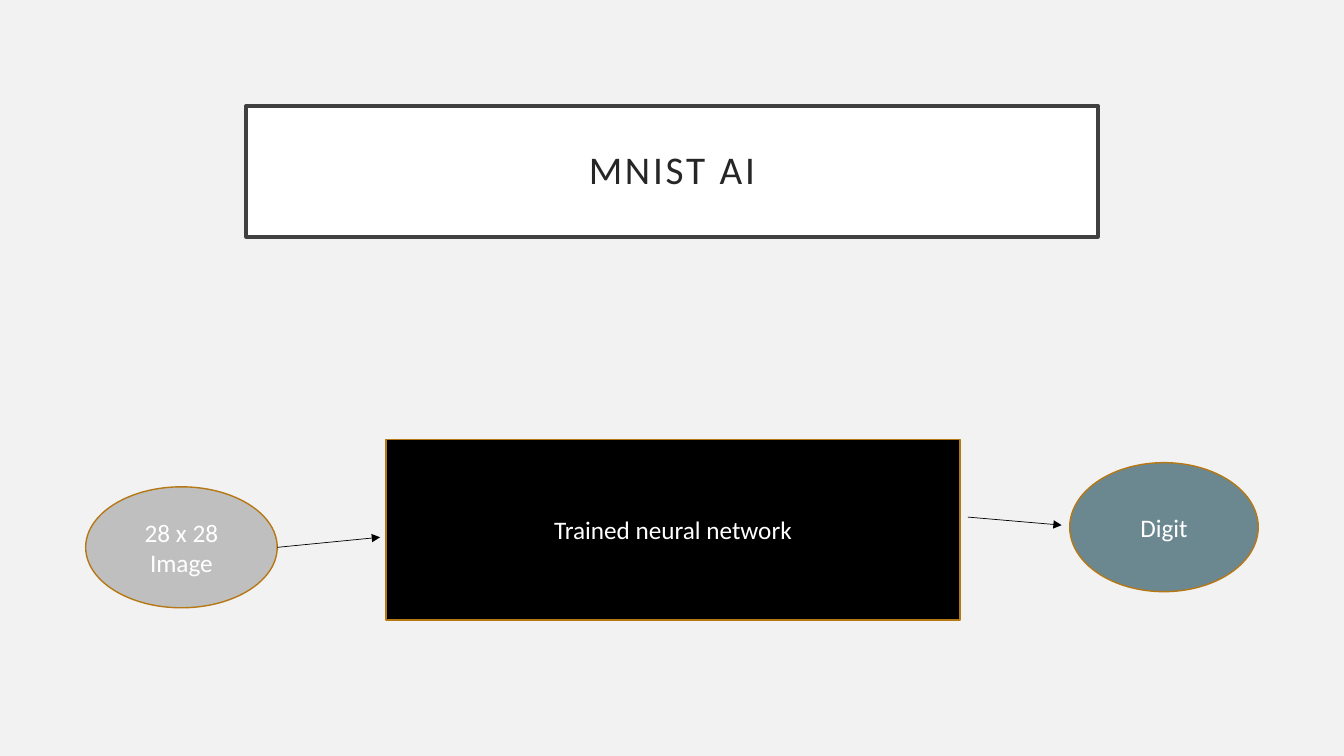
from lxml.etree import SubElement
from pptx import Presentation
from pptx.dml.color import RGBColor
from pptx.enum.shapes import MSO_CONNECTOR as Connector, MSO_SHAPE as Shape
from pptx.enum.text import MSO_ANCHOR as Anchor, MSO_AUTO_SIZE as AutoSize, PP_ALIGN as Align
from pptx.oxml.ns import qn
from pptx.util import Inches, Pt

BACKGROUND = RGBColor(0xF2, 0xF2, 0xF2)
WHITE = RGBColor(0xFF, 0xFF, 0xFF)
BLACK = RGBColor(0x00, 0x00, 0x00)
FRAME = RGBColor(0x40, 0x40, 0x40)
TITLE_TEXT = RGBColor(0x26, 0x26, 0x26)
ORANGE = RGBColor(0xB6, 0x78, 0x15)
GREY = RGBColor(0xBF, 0xBF, 0xBF)
TEAL = RGBColor(0x6B, 0x88, 0x91)


class Diagram:
    """Draws a titled flow diagram on one page in a shared style."""

    font_name = "Calibri"

    def __init__(self, page):
        self.page = page
        page.background.fill.solid()
        page.background.fill.fore_color.rgb = BACKGROUND

    def style(self, box, fill, line, width):
        box.fill.solid()
        box.fill.fore_color.rgb = fill
        box.line.color.rgb = line
        box.line.width = Pt(width)

    def label(self, box, text, size, color):
        frame = box.text_frame
        frame.text = text
        frame.word_wrap = True
        frame.auto_size = AutoSize.NONE
        frame.vertical_anchor = Anchor.MIDDLE
        para = frame.paragraphs[0]
        para.alignment = Align.CENTER
        span = para.runs[0]
        span.font.name = self.font_name
        span.font.size = Pt(size)
        span.font.color.rgb = color
        return para

    def title(self, text, left, top, width, height):
        box = self.page.shapes.title
        box.left, box.top = Inches(left), Inches(top)
        box.width, box.height = Inches(width), Inches(height)
        self.style(box, WHITE, FRAME, 2.5)
        para = self.label(box, text, 28, TITLE_TEXT)
        para.line_spacing = 0.9
        para.runs[0].font._element.set("spc", "200")
        frame = box.text_frame
        frame.margin_left = frame.margin_right = Inches(0.2)
        frame.margin_top = frame.margin_bottom = Inches(0.2)

    def node(self, kind, text, fill, left, top, width, height):
        box = self.page.shapes.add_shape(
            kind, Inches(left), Inches(top), Inches(width), Inches(height))
        box.shadow.inherit = False
        self.style(box, fill, ORANGE, 1)
        self.label(box, text, 18, WHITE)

    def arrow(self, start_x, start_y, end_x, end_y):
        arrow = self.page.shapes.add_connector(
            Connector.STRAIGHT, Inches(start_x), Inches(start_y), Inches(end_x), Inches(end_y))
        arrow.line.color.rgb = BLACK
        arrow.line.width = Pt(0.5)
        properties = arrow._element.spPr
        SubElement(properties.find(qn("a:ln")), qn("a:tailEnd"), type="triangle")
        SubElement(properties, qn("a:effectLst"))


def main():
    deck = Presentation()
    deck.slide_width, deck.slide_height = Inches(13.33), Inches(7.5)
    diagram = Diagram(deck.slides.add_slide(deck.slide_layouts[5]))
    diagram.title("MNIST AI", 2.44, 1.05, 8.45, 1.3)
    diagram.node(Shape.RECTANGLE, "Trained neural network", BLACK, 3.83, 4.36, 5.69, 1.79)
    diagram.node(Shape.OVAL, "28 x 28 Image", GREY, 0.85, 4.83, 1.9, 1.2)
    diagram.arrow(2.75, 5.43, 3.77, 5.33)
    diagram.arrow(9.6, 5.13, 10.53, 5.21)
    diagram.node(Shape.OVAL, "Digit", TEAL, 10.61, 4.59, 1.87, 1.28)
    deck.save("out.pptx")


if __name__ == "__main__":
    main()
